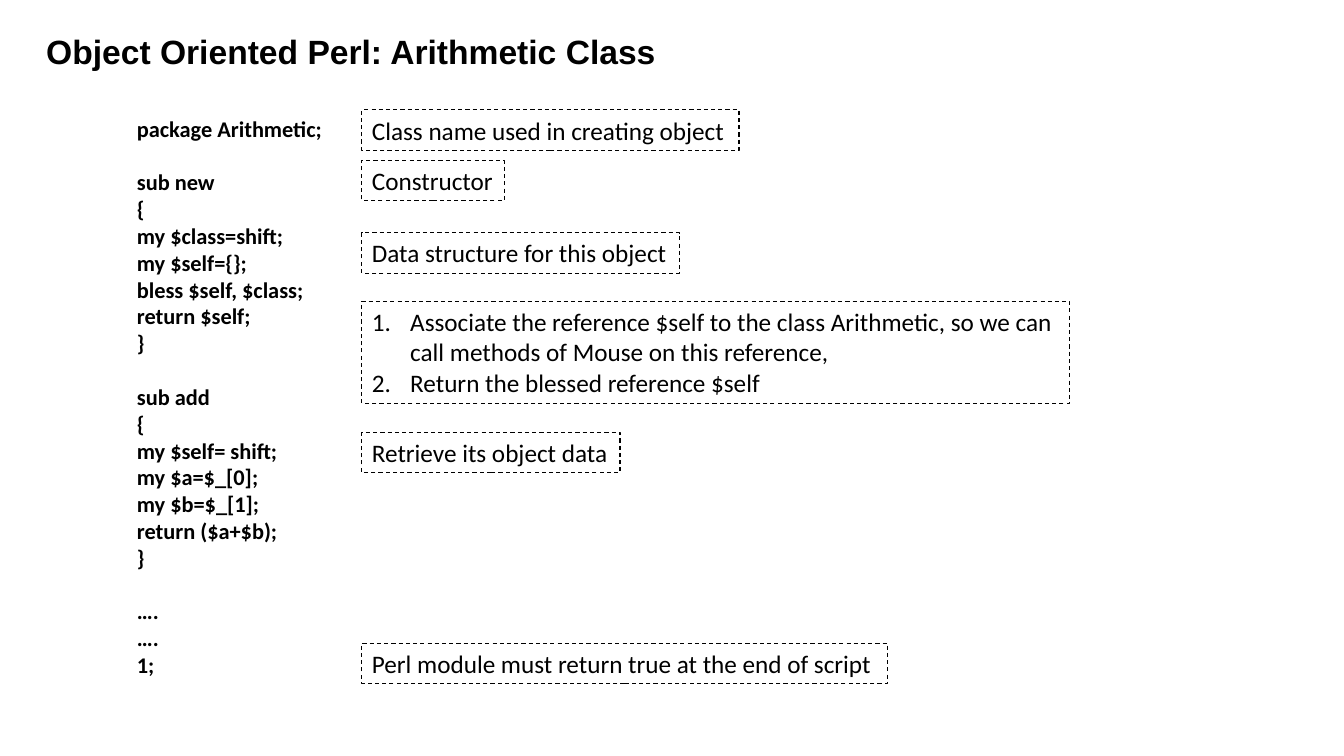
from lxml import etree
from pptx import Presentation
from pptx.dml.color import RGBColor
from pptx.enum.dml import MSO_LINE
from pptx.enum.shapes import MSO_SHAPE
from pptx.enum.text import MSO_ANCHOR, MSO_AUTO_SIZE, PP_ALIGN
from pptx.oxml.ns import qn
from pptx.util import Inches, Pt

RECTANGLE = MSO_SHAPE.RECTANGLE
DASH = MSO_LINE.DASH
TOP = MSO_ANCHOR.TOP
GROW = MSO_AUTO_SIZE.SHAPE_TO_FIT_TEXT
LEFT = PP_ALIGN.LEFT

BLACK = "000000"
TITLE_FONT = {"name": "Arial", "size": Pt(24), "bold": True}
CODE_FONT = {"name": "Calibri", "size": Pt(16), "bold": True}
NOTE_FONT = {"name": "Calibri", "size": Pt(18), "bold": False}
BLOCK_GAP = Pt(19)
NOTE_LEFT = 3.59
NOTE_HEIGHT = 0.4
NUMBER_INDENT = Inches(0.38)

CODE_BLOCKS = [
    ["package Arithmetic;"],
    ["sub new", "{", "my $class=shift;", "my $self={};",
     "bless $self, $class;", "return $self;", "}"],
    ["sub add", "{", "my $self= shift;", "my $a=$_[0];",
     "my $b=$_[1];", "return ($a+$b);", "}"],
    ["….", "….", "1;"],
]

NOTES = [
    (1.09, 3.74, "Class name used in creating object"),
    (1.59, 1.41, "Constructor"),
    (2.31, 3.15, "Data structure for this object"),
    (4.29, 2.56, "Retrieve its object data"),
    (6.38, 5.21, "Perl module must return true at the end of script"),
]

STEPS = [
    "Associate the reference $self to the class Arithmetic, so we can\v"
    "call methods of Mouse on this reference,",
    "Return the blessed reference $self",
]


def color(value):
    """Turn a hex string into a colour."""
    return RGBColor.from_string(value)


def apply_format(target, values):
    """Set each attribute of the target from a dict."""
    for name, value in values.items():
        setattr(target, name, value)


class SlideBuilder:
    """Hold the style and the slide being built."""

    def __init__(self, slide, ink):
        """Keep the slide and the ink colour."""
        self.slide = slide
        self.ink = ink

    def fill_text(self, shape, lines, font, wrap):
        """Fill a shape with one paragraph per line and return them."""
        frame = shape.text_frame
        apply_format(frame, {"word_wrap": wrap, "auto_size": GROW,
                             "vertical_anchor": TOP})
        paragraphs = []
        for line in lines:
            paragraph = frame.add_paragraph() if paragraphs else frame.paragraphs[0]
            paragraph.text = line
            paragraph.alignment = LEFT
            for run in paragraph.runs:
                apply_format(run.font, font)
                run.font.color.rgb = color(self.ink)
            paragraphs.append(paragraph)
        return paragraphs

    def text(self, box, lines, font):
        """Add a wrapping text box."""
        shape = self.slide.shapes.add_textbox(*map(Inches, box))
        return self.fill_text(shape, lines, font, True)

    def code(self, box, blocks):
        """Add a code listing with a gap before each later block."""
        lines = [line for block in blocks for line in block]
        paragraphs = self.text(box, lines, CODE_FONT)
        start = 0
        for block in blocks[:-1]:
            start += len(block)
            paragraphs[start].space_before = BLOCK_GAP

    def note(self, box, lines):
        """Add a dashed note box."""
        shape = self.slide.shapes.add_shape(RECTANGLE, *map(Inches, box))
        shape.shadow.inherit = False
        shape.fill.background()
        shape.line.color.rgb = color(self.ink)
        apply_format(shape.line, {"width": Pt(0.75), "dash_style": DASH})
        return self.fill_text(shape, lines, NOTE_FONT, False)

    def numbered_note(self, box, lines):
        """Add a dashed note box with a numbered list."""
        for paragraph in self.note(box, lines):
            properties = paragraph._p.get_or_add_pPr()
            properties.set("marL", str(NUMBER_INDENT))
            properties.set("indent", str(-NUMBER_INDENT))
            etree.SubElement(properties, qn("a:buFont"), typeface="+mj-lt")
            etree.SubElement(properties, qn("a:buAutoNum"), type="arabicPeriod")


def main():
    """Build the slide and save it."""
    presentation = Presentation()
    apply_format(presentation, {"slide_width": Inches(13.33),
                                "slide_height": Inches(7.5)})
    slide = presentation.slides.add_slide(presentation.slide_layouts[6])
    builder = SlideBuilder(slide, BLACK)
    builder.text((0.36, 0.26, 7.19, 0.5),
                 ["Object Oriented Perl: Arithmetic Class"], TITLE_FONT)
    builder.code((1.26, 1.09, 3.53, 5.76), CODE_BLOCKS)
    for top, width, line in NOTES:
        builder.note((NOTE_LEFT, top, width, NOTE_HEIGHT), [line])
    builder.numbered_note((NOTE_LEFT, 2.99, 7.02, 1.01), STEPS)
    presentation.save("out.pptx")


main()
